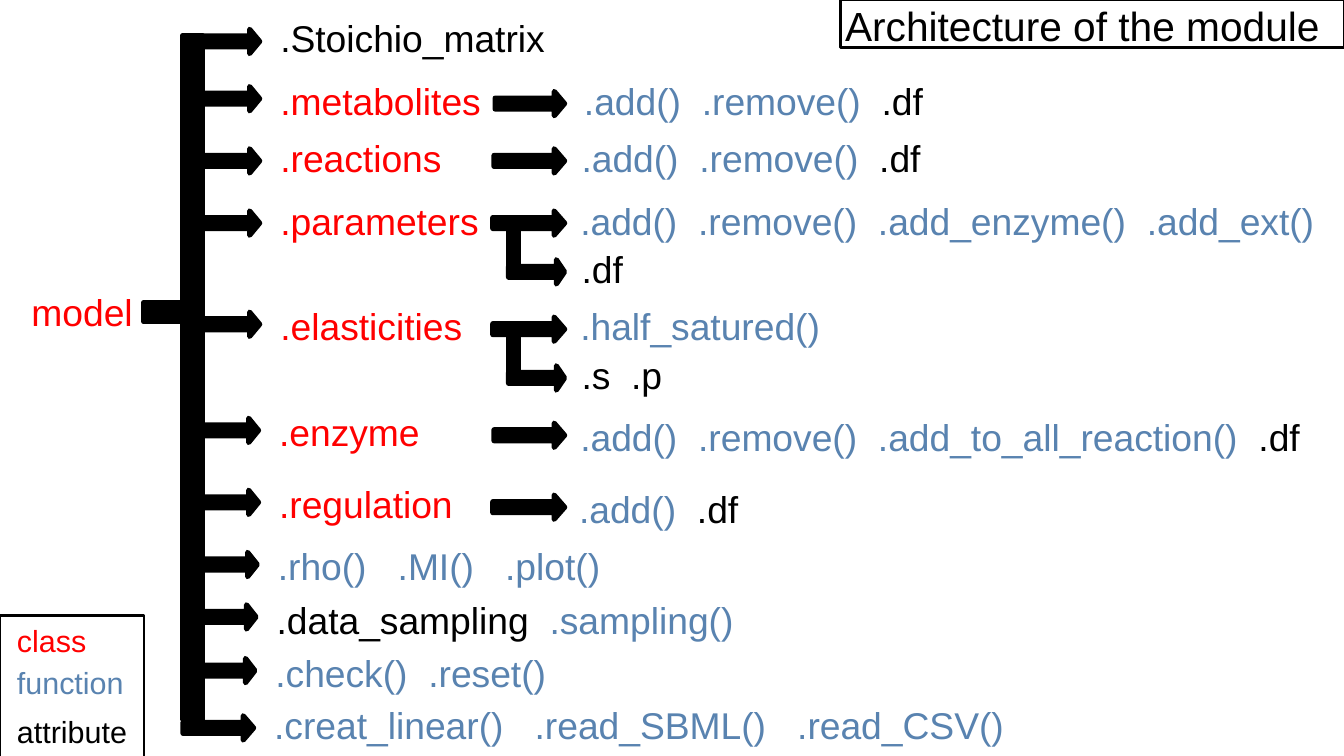
from pptx import Presentation
from pptx.dml.color import RGBColor
from pptx.enum.shapes import MSO_SHAPE
from pptx.enum.text import MSO_ANCHOR, MSO_AUTO_SIZE, PP_ALIGN
from pptx.util import Inches, Pt

RECTANGLE, ARROW = MSO_SHAPE.RECTANGLE, MSO_SHAPE.RIGHT_ARROW
TOP, CENTER, LEFT = MSO_ANCHOR.TOP, PP_ALIGN.CENTER, PP_ALIGN.LEFT
FIXED = MSO_AUTO_SIZE.NONE

FONT = "Arial"
COLORS = {"class": "FF0000", "function": "5983B0", "attribute": "000000"}
BLACK = COLORS["attribute"]
TEXT_SIZE, LEGEND_SIZE, TITLE_SIZE = 22, 18, 24
SPACE_WIDTH = 0.278  # width of a space in ems
ROW_HEIGHT, ARROW_HEIGHT = 0.44, 0.2

TITLE = "Architecture of the module"

# Members of the model: text left, text top, arrow top, spaces between, members
MEMBERS = [
    (2.2, 0.08, 0.24, 1, [("attribute", ".Stoichio_matrix")]),
    (2.2, 0.59, 0.71, 1, [("class", ".metabolites")]),
    (2.2, 1.06, 1.22, 1, [("class", ".reactions")]),
    (2.2, 1.58, 1.73, 1, [("class", ".parameters")]),
    (2.2, 2.44, 2.56, 1, [("class", ".elasticities")]),
    (2.19, 3.31, 3.43, 1, [("class", ".enzyme")]),
    (2.19, 3.9, 4.02, 1, [("class", ".regulation")]),
    (2.18, 4.41, 4.53, 3, [("function", ".rho()"), ("function", ".MI()"),
                           ("function", ".plot()")]),
    (2.17, 4.85, 4.96, 2, [("attribute", ".data_sampling"), ("function", ".sampling()")]),
    (2.16, 5.28, 5.4, 2, [("function", ".check()"), ("function", ".reset()")]),
    (2.15, 5.71, 5.87, 3, [("function", ".creat_linear()"), ("function", ".read_SBML()"),
                           ("function", ".read_CSV()")]),
]

# Members of each class: text left, text top, arrow left, arrow top, members
ADD, REMOVE, DF = ("function", ".add()"), ("function", ".remove()"), ("attribute", ".df")
CLASS_MEMBERS = [
    (4.69, 0.59, 4.06, 0.75, [ADD, REMOVE, DF]),
    (4.67, 1.06, 4.05, 1.22, [ADD, REMOVE, DF]),
    (4.66, 1.58, 4.04, 1.73, [ADD, REMOVE, ("function", ".add_enzyme()"),
                              ("function", ".add_ext()")]),
    (4.67, 1.97, 4.17, 2.13, [DF]),
    (4.66, 2.44, 4.04, 2.6, [("function", ".half_satured()")]),
    (4.67, 2.84, 4.17, 3.0, [("attribute", ".s"), ("attribute", ".p")]),
    (4.66, 3.35, 4.05, 3.47, [ADD, REMOVE, ("function", ".add_to_all_reaction()"), DF]),
    (4.65, 3.94, 4.04, 4.06, [ADD, DF]),
]
ARROW_TIP = 4.63

# Bars: left, top, width, height
TRUNK = (1.5, 0.29, 0.16, 5.61)
MODEL_STEM = (1.18, 2.48, 0.47, 0.16)
BRANCH_STEMS = [(4.17, top, 0.08, 0.48) for top in (1.79, 2.65)]
FRAMES = {"legend": (0, 5.05, 1.18, 1.17), "title": (6.89, 0, 4.13, 0.39)}
LEGEND = [("class", 5.05), ("function", 5.4), ("attribute", 5.8)]

deck = Presentation()
deck.slide_width, deck.slide_height = Inches(11.02), Inches(6.2)
page = deck.slides.add_slide(deck.slide_layouts[5])


def color(value):
    return RGBColor.from_string(value)


def add_figure(kind, place, filled=True, line_width=3):
    figure = page.shapes.add_shape(kind, *map(Inches, place))
    figure.shadow.inherit = False
    if filled:
        figure.fill.solid()
        figure.fill.fore_color.rgb = color(BLACK)
    else:
        figure.fill.background()
    figure.line.color.rgb = color(BLACK)
    figure.line.width = Pt(line_width)
    return figure


def add_arrow(left, top, tip):
    width = tip - left
    arrow = add_figure(ARROW, (left, top, width, ARROW_HEIGHT))
    arrow.adjustments[0] = 0.45
    arrow.adjustments[1] = 0.74 * width


def write(box, place, members, size=TEXT_SIZE, spaces=2, align=LEFT):
    box.left, box.top, box.width, box.height = map(Inches, place)
    frame = box.text_frame
    frame.word_wrap, frame.auto_size, frame.vertical_anchor = True, FIXED, TOP
    para = frame.paragraphs[0]
    para.alignment = align
    para.font.name, para.font.size = FONT, Pt(size)
    for index, (kind, text) in enumerate(members):
        if index:
            # One space, widened by letter spacing
            gap = para.add_run()
            gap.text = " "
            extra = (spaces - 1) * SPACE_WIDTH * size
            gap.font.size = Pt(size)
            gap.font._element.set("spc", str(round(extra * 100)))
        span = para.add_run()
        span.text = text
        span.font.color.rgb = color(COLORS[kind])


def add_text(place, members, **style):
    write(page.shapes.add_textbox(0, 0, 0, 0), place, members, **style)


# Title
write(page.shapes.title, (6.73, -0.04, 4.29, 0.47), [("attribute", TITLE)],
      size=TITLE_SIZE, align=CENTER)

# Model, trunk and branch stems
add_text((0.16, 2.32, 1.18, ROW_HEIGHT), [("class", "model")])
for bar in [TRUNK, MODEL_STEM, *BRANCH_STEMS]:
    add_figure(RECTANGLE, bar)

# First level: arrows end just before their text
for left, top, arrow_top, spaces, members in MEMBERS:
    start = 1.5 if (left, top) == MEMBERS[-1][:2] else 1.57
    add_arrow(start, arrow_top, left - 0.07)
    add_text((left, top, 7.1 if len(members) > 1 else 2.52, ROW_HEIGHT), members,
             spaces=spaces)

# Second level
for left, top, arrow_left, arrow_top, members in CLASS_MEMBERS:
    add_arrow(arrow_left, arrow_top, ARROW_TIP)
    add_text((left, top, 6.36, ROW_HEIGHT), members)

# Legend
for kind, top in LEGEND:
    add_text((0.04, top, 1.18, 0.38), [(kind, kind)], size=LEGEND_SIZE)

# Frames
for place in FRAMES.values():
    add_figure(RECTANGLE, place, filled=False, line_width=1.5)

deck.save("out.pptx")
